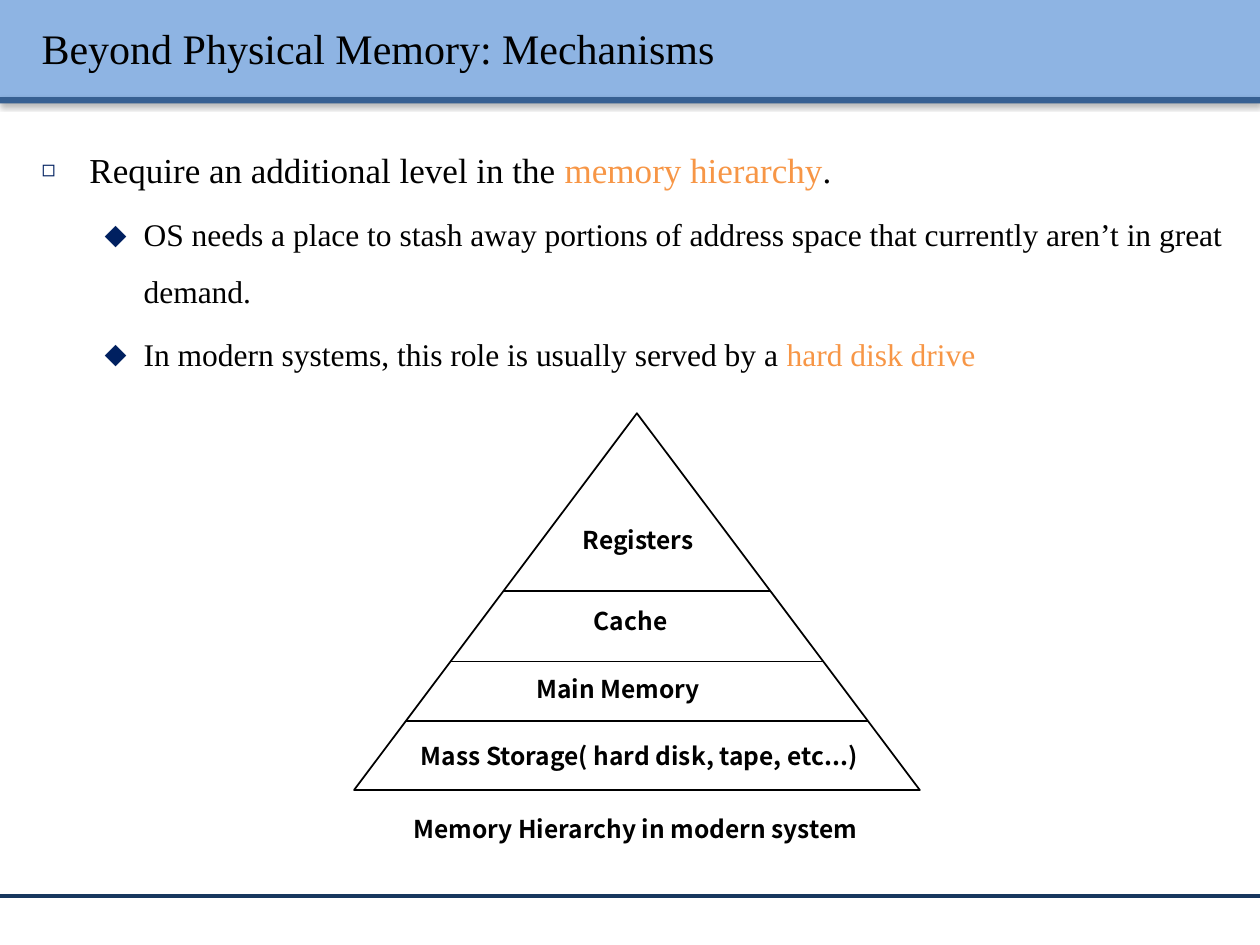
from lxml import etree
from pptx import Presentation
from pptx.dml.color import RGBColor
from pptx.enum.shapes import MSO_CONNECTOR, MSO_SHAPE
from pptx.enum.text import MSO_ANCHOR, MSO_AUTO_SIZE, PP_ALIGN
from pptx.oxml.ns import qn
from pptx.util import Inches, Pt

RECT, TRIANGLE = MSO_SHAPE.RECTANGLE, MSO_SHAPE.ISOSCELES_TRIANGLE
STRAIGHT = MSO_CONNECTOR.STRAIGHT
LEFT, CENTER = PP_ALIGN.LEFT, PP_ALIGN.CENTER
TOP, MIDDLE = MSO_ANCHOR.TOP, MSO_ANCHOR.MIDDLE

BLACK = RGBColor(0x00, 0x00, 0x00)
WHITE = RGBColor(0xFF, 0xFF, 0xFF)
ORANGE = RGBColor(0xF7, 0x96, 0x46)
NAVY = RGBColor(0x00, 0x20, 0x60)
HEADER = RGBColor(0x8E, 0xB4, 0xE3)
HEADER_EDGE = RGBColor(0x37, 0x60, 0x92)
FOOTER = RGBColor(0x17, 0x37, 0x5E)

SERIF, SANS = "Times New Roman", "Noto Sans CJK KR"

# Bullet style by level: left margin, hanging indent, size in percent, symbol
BULLETS = [(0.38, 0.38, 65, "◻"), (0.81, 0.31, 100, "⬥")]

BODY = [
    (0, 20, [("Require an additional level in the ", BLACK),
             ("memory hierarchy", ORANGE), (".", BLACK)]),
    (1, 18, [("OS needs a place to stash away portions of address space "
              "that currently aren’t in great demand.", BLACK)]),
    (1, 18, [("In modern systems, this role is usually served by a ", BLACK),
             ("hard disk drive", ORANGE)]),
]

# Pyramid box, divider heights, and labels with their left and top
PYRAMID = (2.81, 3.28, 4.49, 2.99)
DIVIDERS = [4.69, 5.25, 5.72]
LABELS = [
    ("Registers", 2.83, 4.12),
    ("Cache", 2.77, 4.76),
    ("Main Memory", 2.67, 5.3),
    ("Mass Storage( hard disk, tape, etc...)", 2.84, 5.83),
    ("Memory Hierarchy in modern system", 2.81, 6.41),
]


def add_run(p, text, size=14, font=SANS, color=BLACK, bold=False):
    r = p.add_run()
    r.text = text
    r.font.size, r.font.name, r.font.bold = Pt(size), font, bold
    r.font.color.rgb = color
    return r


def add_shadow(props, blur, dist, alpha):
    """Add a downward black shadow to shape or run properties."""
    effects = props.get_or_change_to_effectLst() if hasattr(
        props, "get_or_change_to_effectLst") else etree.Element(qn("a:effectLst"))
    if effects.getparent() is None:
        props.find(qn("a:solidFill")).addnext(effects)
    shadow = etree.SubElement(effects, qn("a:outerShdw"), blurRad=str(Pt(blur)),
                              dist=str(Pt(dist)), dir="5400000", rotWithShape="0")
    color = etree.SubElement(shadow, qn("a:srgbClr"), val=str(BLACK))
    etree.SubElement(color, qn("a:alpha"), val=str(alpha * 1000))


def add_box(s, kind, box, fill, line=None):
    sp = s.shapes.add_shape(kind, *map(Inches, box))
    sp.shadow.inherit = False
    sp.fill.solid()
    sp.fill.fore_color.rgb = fill
    if line is None:
        sp.line.fill.background()
    else:
        sp.line.color.rgb, sp.line.width = line, Pt(1)
    return sp


def add_line(s, x1, x2, y, color=BLACK, width=1):
    line = s.shapes.add_connector(STRAIGHT, *map(Inches, (x1, y, x2, y)))
    line.line.color.rgb, line.line.width = color, Pt(width)
    etree.SubElement(line.element.spPr, qn("a:effectLst"))
    return line


def add_label(s, text, x, y):
    sp = s.shapes.add_textbox(*map(Inches, (x, y, 4.47, 0.34)))
    sp.text_frame.word_wrap = True
    p = sp.text_frame.paragraphs[0]
    p.alignment = CENTER
    add_run(p, text, bold=True)


def place(sp, box, anchor):
    """Move a placeholder and return its text frame."""
    sp.left, sp.top, sp.width, sp.height = map(Inches, box)
    tf = sp.text_frame
    tf.auto_size, tf.vertical_anchor = MSO_AUTO_SIZE.NONE, anchor
    return tf


def set_bullet(p, level):
    margin, hang, size, symbol = BULLETS[level]
    p.level = level
    pPr = p._p.get_or_add_pPr()
    pPr.set("marL", str(Inches(margin)))
    pPr.set("indent", str(-Inches(hang)))
    color = etree.SubElement(pPr, qn("a:buClr"))
    etree.SubElement(color, qn("a:srgbClr"), val=str(NAVY))
    etree.SubElement(pPr, qn("a:buSzPct"), val=str(size * 1000))
    etree.SubElement(pPr, qn("a:buChar"), char=symbol)


def add_frame(s):
    """Header bars and footer rule, kept behind the title."""
    bars = [add_box(s, RECT, (0, 0, 10, 0.77), HEADER),
            add_box(s, RECT, (0, 0.77, 10, 0.05), HEADER_EDGE)]
    for bar in bars:
        add_shadow(bar.element.spPr, 3.1, 1.6, 38)
    for sp in bars + [add_line(s, 0, 10, 7.11, FOOTER, 2)]:
        s.shapes.title.element.addprevious(sp.element)


def add_title(s, text):
    tf = place(s.shapes.title, (0.23, 0.06, 9.61, 0.64), MIDDLE)
    p = tf.paragraphs[0]
    p.alignment = LEFT
    r = add_run(p, text, size=24, font=SERIF)
    add_shadow(r.font._element, 3, 1.5, 100)


def add_body(s):
    tf = place(s.placeholders[1], (0.23, 0.96, 9.61, 6.02), TOP)
    for i, (level, size, parts) in enumerate(BODY):
        p = tf.add_paragraph() if i else tf.paragraphs[0]
        set_bullet(p, level)
        p.line_spacing = 1.5
        for text, color in parts:
            add_run(p, text, size=size, font=SERIF, color=color)


def add_pyramid(s):
    left, top, width, height = PYRAMID
    add_box(s, TRIANGLE, PYRAMID, WHITE, BLACK)
    # Each divider runs from edge to edge of the triangle
    center = left + width / 2
    for y in DIVIDERS:
        half = (y - top) / height * width / 2
        add_line(s, center - half, center + half, y)
    for label in LABELS:
        add_label(s, *label)


def main():
    prs = Presentation()
    prs.slide_width, prs.slide_height = Inches(10), Inches(7.5)
    s = prs.slides.add_slide(prs.slide_layouts[1])
    add_frame(s)
    add_title(s, "Beyond Physical Memory: Mechanisms")
    add_body(s)
    add_pyramid(s)
    prs.save("out.pptx")


if __name__ == "__main__":
    main()
